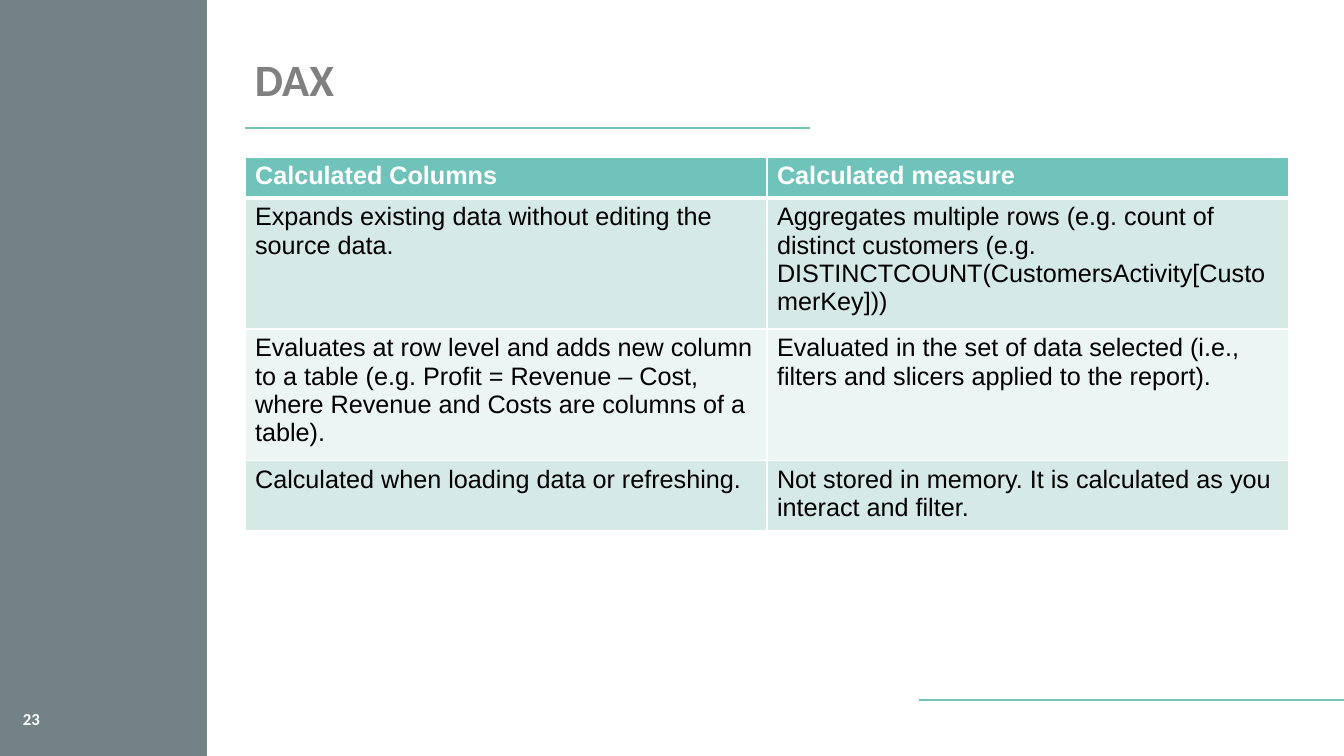
"""Build the DAX slide comparing calculated columns with calculated measures."""
from lxml import etree
from pptx import Presentation
from pptx.dml.color import RGBColor
from pptx.enum.shapes import MSO_CONNECTOR, MSO_SHAPE
from pptx.enum.text import MSO_ANCHOR
from pptx.oxml import parse_xml
from pptx.oxml.ns import nsdecls, qn
from pptx.util import Pt

PX = 914400 / 100.8
RECT = MSO_SHAPE.RECTANGLE
LINE = MSO_CONNECTOR.STRAIGHT
TOP, BOTTOM = MSO_ANCHOR.TOP, MSO_ANCHOR.BOTTOM
HEX = {"side": "162F33", "teal": "70C3BB", "title": "808080", "dark": "D5E9E7",
       "light": "EBF5F3", "white": "FFFFFF", "black": "000000"}
RGB = {name: RGBColor.from_string(code) for name, code in HEX.items()}


def px(*nums):
    return [round(num * PX) for num in nums]


def write(frame, text, size=18, font="Arial", color="black", bold=False, anchor=TOP, space=1.0):
    frame.word_wrap = True
    frame.vertical_anchor = anchor
    para = frame.paragraphs[0]
    para.line_spacing = space
    run = para.add_run()
    run.text = text
    run.font.size = Pt(size)
    run.font.name = font
    run.font.bold = bold
    run.font.color.rgb = RGB[color]


deck = Presentation()
deck.slide_width, deck.slide_height = px(1344, 756)
slide = deck.slides.add_slide(deck.slide_layouts[6])
shapes = slide.shapes

side = shapes.add_shape(RECT, *px(0, 0, 207, 756))
side.shadow.inherit = False
side.line.fill.background()
side.fill.solid()
side.fill.fore_color.rgb = RGB["side"]
tint = side.fill._xPr.find(".//" + qn("a:srgbClr"))
etree.SubElement(tint, qn("a:alpha"), val="60000")

for left, right, y in [(245, 810, 128), (919, 1344, 700)]:
    rule = shapes.add_connector(LINE, *px(left, y, right, y))
    rule.line.color.rgb = RGB["teal"]
    rule.line.width = Pt(1.5)
    etree.SubElement(rule._element.spPr, qn("a:effectLst"))

title = shapes.add_textbox(*px(245, 0, 1044, 111))
write(title.text_frame, "DAX", size=32, font="Calibri", color="title", bold=True,
      anchor=BOTTOM, space=0.9)

rows = [
    ("Calculated Columns", "Calculated measure"),
    ("Expands existing data without editing the source data.",
     "Aggregates multiple rows (e.g. count of distinct customers (e.g. "
     "DISTINCTCOUNT(CustomersActivity[CustomerKey]))"),
    ("Evaluates at row level and adds new column to a table (e.g. Profit = Revenue – Cost, "
     "where Revenue and Costs are columns of a table).",
     "Evaluated in the set of data selected (i.e., filters and slicers applied to the report)."),
    ("Calculated when loading data or refreshing.",
     "Not stored in memory. It is calculated as you interact and filter."),
]
fills = ["teal", "dark", "light", "dark"]
highs = [41, 123, 123, 66]
table = shapes.add_table(len(rows), 2, *px(245, 157, 1044, sum(highs))).table
for col in table.columns:
    col.width = px(522)[0]
for i, (texts, fill, high) in enumerate(zip(rows, fills, highs)):
    table.rows[i].height = px(high)[0]
    head = i == 0
    for j, text in enumerate(texts):
        cell = table.cell(i, j)
        write(cell.text_frame, text, color="white" if head else "black", bold=head)
        cell.fill.solid()
        cell.fill.fore_color.rgb = RGB[fill]
        props = cell._tc.get_or_add_tcPr()
        for n, edge in enumerate("LRTB"):
            thick = (head and edge == "B") or (i == 1 and edge == "T")
            width = Pt(3 if thick else 1)
            props.insert(n, parse_xml(
                f'<a:ln{edge} {nsdecls("a")} w="{width}"><a:solidFill>'
                f'<a:srgbClr val="{HEX["white"]}"/></a:solidFill></a:ln{edge}>'))

page = shapes.add_textbox(*px(13, 704, 52, 40))
write(page.text_frame, "23", size=12, font="Calibri", color="white", bold=True)

deck.save("out.pptx")
